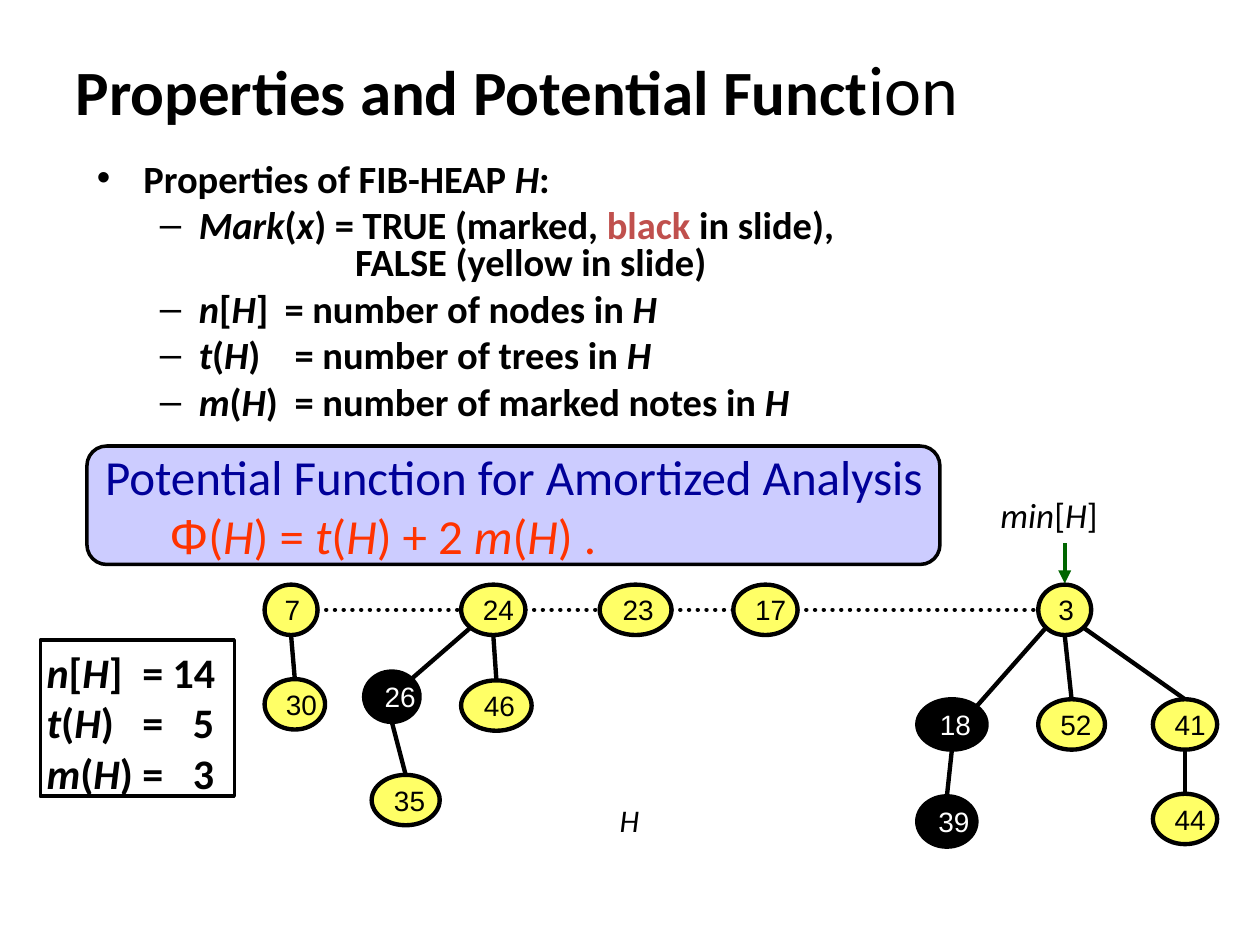
from lxml.etree import SubElement
from pptx import Presentation
from pptx.dml.color import RGBColor
from pptx.enum.dml import MSO_LINE
from pptx.enum.shapes import MSO_CONNECTOR, MSO_SHAPE
from pptx.enum.text import MSO_ANCHOR, MSO_AUTO_SIZE, PP_ALIGN
from pptx.oxml.ns import qn
from pptx.util import Inches, Pt

COLORS = {name: RGBColor.from_string(value) for name, value in {
    "black": "000000", "white": "FFFFFF", "yellow": "FFFF66", "green": "006600",
    "red": "C0504D", "lilac": "CCCCFF", "navy": "000099", "orange": "FF3300",
}.items()}

prs = Presentation()
prs.slide_width, prs.slide_height = Inches(10), Inches(7.5)
col = prs.slide_width // 100
row = prs.slide_height // 75
s = prs.slides.add_slide(prs.slide_layouts[5])


def write(p, text, size, color="black", bold=False, indent=(0, 0), bullet=None, tabs=()):
    p.alignment = PP_ALIGN.LEFT
    pPr = p._p.get_or_add_pPr()
    pPr.set("marL", str(int(indent[0] * col)))
    pPr.set("indent", str(int(indent[1] * col)))
    if bullet:
        SubElement(pPr, qn("a:buFont"), typeface="Arial")
        SubElement(pPr, qn("a:buChar"), char=bullet)
    if tabs:
        tab_list = SubElement(pPr, qn("a:tabLst"))
        for pos in tabs:
            SubElement(tab_list, qn("a:tab"), pos=str(int(pos * col)), algn="l")
    for i, part in enumerate(text.split("*")):
        if part:
            r = p.add_run()
            r.text = part
            r.font.name, r.font.size = "Calibri", Pt(size)
            r.font.bold, r.font.italic = bold, i % 2 == 1
            r.font.color.rgb = COLORS[color]


def connect(start, end, color="black"):
    line = s.shapes.add_connector(MSO_CONNECTOR.STRAIGHT, *(int(v) for v in (*start, *end)))
    line.line.color.rgb = COLORS[color]
    line.line.width = Pt(2.5)
    SubElement(line._element.spPr, qn("a:effectLst"))
    return line


title = s.shapes.title
title.left, title.top, title.width, title.height = 5 * col, 3 * row, 90 * col, int(7.9 * row)
tf = title.text_frame
tf.auto_size = MSO_AUTO_SIZE.NONE
tf.vertical_anchor = MSO_ANCHOR.MIDDLE
write(tf.paragraphs[0], "Properties and Potential Funct**ion", 36, bold=True)
ending = tf.paragraphs[0].runs[1].font
ending.size, ending.bold = Pt(40), False

roots, middle, low = 46.4, 55.5, 63
nodes = {}
for label, x, y, w, fill in [
    ("7", 21, roots, 4.2, "yellow"), ("24", 36.6, roots, 5.1, "yellow"),
    ("23", 47.6, roots, 5.7, "yellow"), ("17", 58.2, roots, 5.1, "yellow"),
    ("3", 82.4, roots, 4.2, "yellow"), ("30", 21, 53.9, 4.8, "yellow"),
    ("26", 28.9, 53.3, 4.4, "black"), ("46", 36.6, 54, 5.6, "yellow"),
    ("18", 72.8, middle, 5.5, "black"), ("52", 82.4, middle, 5.3, "yellow"),
    ("41", 91.5, middle, 5.1, "yellow"), ("35", 29.5, 61.5, 5.4, "yellow"),
    ("39", 72.8, 63.2, 4.7, "black"), ("44", 91.5, low, 5.1, "yellow"),
]:
    sp = s.shapes.add_shape(MSO_SHAPE.OVAL, int(x * col), int(y * row), int(w * col), 4 * row)
    sp.shadow.inherit = False
    sp.fill.solid()
    sp.fill.fore_color.rgb = COLORS[fill]
    sp.line.color.rgb = COLORS["black"]
    sp.line.width = Pt(2.5)
    tf = sp.text_frame
    tf.word_wrap = False
    tf.vertical_anchor = MSO_ANCHOR.MIDDLE
    write(tf.paragraphs[0], label, 16, "white" if fill == "black" else "black")
    tf.paragraphs[0].runs[0].font.name = "Arial"
    nodes[label] = sp

top, bottom, left, right = (0.5, 0), (0.5, 1), (0, 0.5), (1, 0.5)
top_right, bottom_left, bottom_right = (0.85, 0.15), (0.15, 0.85), (0.85, 0.85)
root_row = ["7", "24", "23", "17", "3"]
links = [(a, right, b, left) for a, b in zip(root_row, root_row[1:])]
links += [(a, bottom, b, top) for a, b in [
    ("7", "30"), ("24", "46"), ("26", "35"), ("3", "52"), ("18", "39"), ("41", "44")]]
links += [("24", bottom_left, "26", top_right), ("3", bottom_left, "18", top_right),
          ("3", bottom_right, "41", top)]
for a, a_site, b, b_site in links:
    start, end = [(n.left + n.width * dx, n.top + n.height * dy)
                  for n, (dx, dy) in ((nodes[a], a_site), (nodes[b], b_site))]
    line = connect(start, end)
    if a_site == right:
        line.line.dash_style = MSO_LINE.ROUND_DOT
        line.line._get_or_add_ln().set("cap", "rnd")

arrow = connect((84.5 * col, 43.1 * row), (84.5 * col, 46.3 * row), "green")
SubElement(arrow.line._get_or_add_ln(), qn("a:tailEnd"), type="triangle")

for text, size, x, y, w, h, inset in [
    ("*H*", 18, 48.2, 63.1, 6, 4, 1), ("*min*[*H*]", 20, 78.9, 38.7, 11.2, 4.4, 0.5),
]:
    tf = s.shapes.add_textbox(*(int(v) for v in (x * col, y * row, w * col, h * row))).text_frame
    tf.word_wrap = True
    tf.margin_left = tf.margin_right = int(inset * col)
    write(tf.paragraphs[0], text, size)

tf = s.shapes.add_textbox(*(int(v) for v in (6.7 * col, 12.5 * row, 67.7 * col, 20.2 * row))).text_frame
tf.word_wrap = True
item = (8.1, -3.1)
for i, (text, indent, bullet, tabs) in enumerate([
    ("Properties of FIB-HEAP *H*:", (3.7, -3.7), "•", ()),
    ("*Mark*(*x*) = TRUE (marked, **black **in slide),", item, "–", ()),
    ("FALSE (yellow in slide)", (20.5, 0), None, ()),
    ("*n*[*H*]\t= number of nodes in *H*", item, "–", (6.8, 14.9)),
    ("*t*(*H*)\t= number of trees in *H*", item, "–", (7.6, 15.7)),
    ("*m*(*H*)\t= number of marked notes in *H*", item, "–", (7.6, 15.7)),
]):
    p = tf.paragraphs[0] if i == 0 else tf.add_paragraph()
    write(p, text, 22, bold=True, indent=indent, bullet=bullet, tabs=tabs)
    p.line_spacing = 0.8
    if i and bullet:
        p.space_before = Pt(5.5)
tf.paragraphs[1].runs[4].font.color.rgb = COLORS["red"]

counts = s.shapes.add_shape(MSO_SHAPE.RECTANGLE, *(int(v) for v in (3.2 * col, 50.8 * row, 15.4 * col, 12.4 * row)))
panel = s.shapes.add_shape(MSO_SHAPE.ROUNDED_RECTANGLE, *(int(v) for v in (6.9 * col, 35.4 * row, 67.7 * col, 9.4 * row)))
for sp in (counts, panel):
    sp.shadow.inherit = False
    sp.line.color.rgb = COLORS["black"]
    sp.line.width = Pt(2)
    sp.text_frame.vertical_anchor = MSO_ANCHOR.TOP

counts.fill.background()
tf = counts.text_frame
tf.word_wrap = True
tf.margin_left = tf.margin_right = col // 2
for i, text in enumerate(["*n*[*H*]\t=** **14", "*t*(*H*)\t=** **5", "*m*(*H*)\t=** **3"]):
    p = tf.paragraphs[0] if i == 0 else tf.add_paragraph()
    write(p, text, 24, bold=True, indent=(7.6, -7.6))
    if i:
        p.runs[-2].font._element.set("spc", "1150")

panel.fill.solid()
panel.fill.fore_color.rgb = COLORS["lilac"]
tf = panel.text_frame
tf.word_wrap = False
write(tf.paragraphs[0], "Potential Function for Amortized Analysis", 28, "navy", indent=(3.8, -3.8))
p = tf.add_paragraph()
write(p, "Φ**(*H*) = *t*(*H*) + 2 *m*(*H*) .", 28, "orange", indent=(8.7, -3.6))
p.runs[0].font.name = "Arial"
p.space_before = Pt(7)
for p in tf.paragraphs:
    p.line_spacing = 0.8

prs.save("out.pptx")
